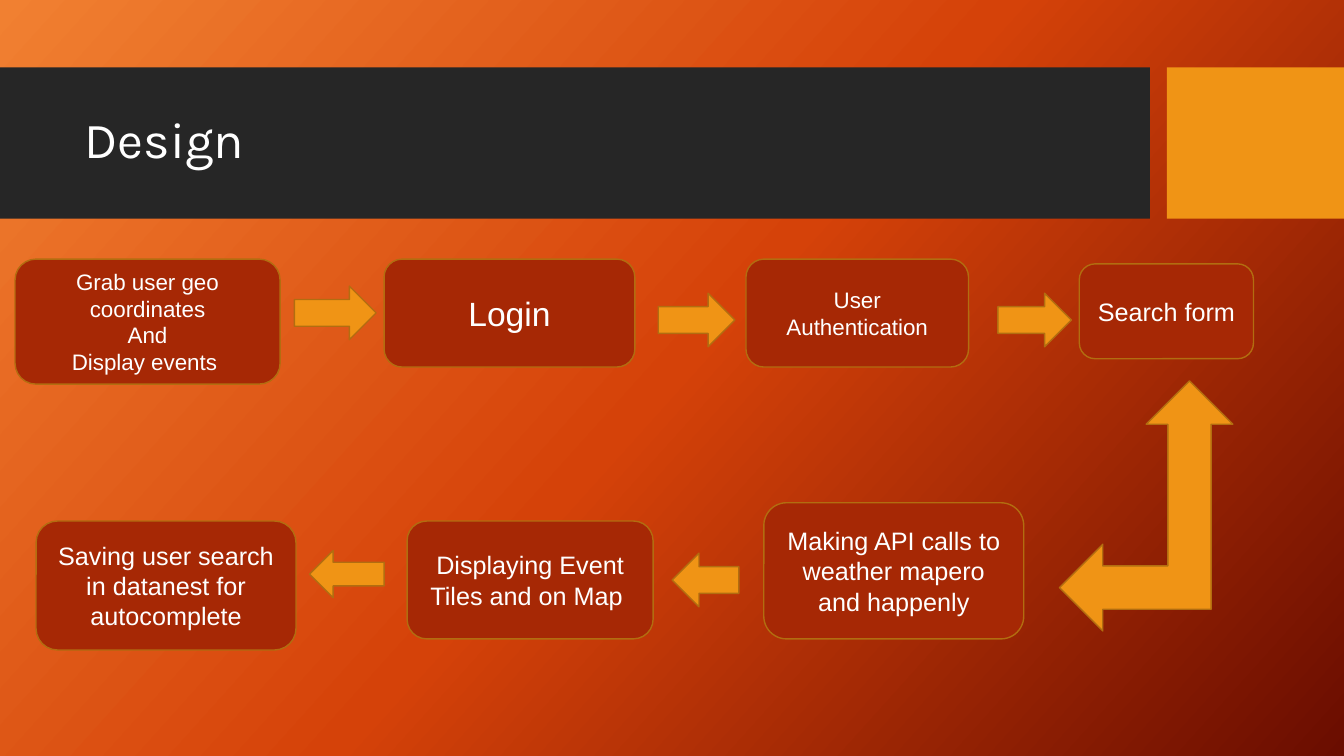
from copy import deepcopy

from pptx import Presentation
from pptx.dml.color import RGBColor
from pptx.enum.shapes import MSO_SHAPE as Preset
from pptx.enum.text import MSO_ANCHOR as Anchor, PP_ALIGN as Align
from pptx.util import Cm, Pt

WHITE, DARK, AMBER, RUST, EDGE = "FFFFFF", "262626", "F09415", "A62805", "B26D10"
BACKDROP = [(0, "F18031"), (0.5, "D54209"), (1, "6A0D00")]
BAND_TOP, BAND_HEIGHT = 1.7, 3.81
BANDS = [(0, 28.98, DARK), (29.41, 4.46, AMBER)]

STEPS = [
    (["Grab user geo coordinates", "And", "Display events "], 16, (0.38, 6.53, 6.68, 3.15)),
    (["Login"], 24, (9.68, 6.53, 6.32, 2.72)),
    (["User Authentication"], 16, (18.8, 6.53, 5.61, 2.72)),
    (["Search form"], 18, (27.2, 6.65, 4.39, 2.39)),
    (["Making API calls to weather mapero and happenly"], 18, (19.25, 12.67, 6.55, 3.43)),
    (["Displaying Event Tiles and on Map "], 18, (10.26, 13.13, 6.2, 2.97)),
    (["Saving user search in datanest for autocomplete"], 18, (0.91, 13.13, 6.55, 3.25)),
]
ARROWS = [
    (Preset.RIGHT_ARROW, 0, (7.42, 7.21, 2.06, 1.35)),
    (Preset.RIGHT_ARROW, 0, (16.59, 7.39, 1.93, 1.35)),
    (Preset.RIGHT_ARROW, 0, (25.15, 7.39, 1.85, 1.35)),
    (Preset.LEFT_UP_ARROW, 0, (26.7, 9.6, 4.37, 6.3)),
    (Preset.RIGHT_ARROW, 180, (16.94, 13.94, 1.68, 1.35)),
    (Preset.RIGHT_ARROW, 180, (7.8, 13.87, 1.88, 1.19)),
]


def color(value):
    return RGBColor.from_string(value)


def paint_background(page):
    fill = page.background.fill
    fill.gradient()
    fill.gradient_angle = 360 - 42
    stop_list = page._element.xpath(".//a:gsLst")[0]
    stop_list.append(deepcopy(stop_list[0]))
    for stop, (position, shade) in zip(fill.gradient_stops, BACKDROP):
        stop.position = position
        stop.color.rgb = color(shade)


def add_block(page, preset, place, fill, edge=None):
    block = page.shapes.add_shape(preset, *map(Cm, place))
    block.shadow.inherit = False
    block.fill.solid()
    block.fill.fore_color.rgb = color(fill)
    if edge:
        block.line.color.rgb = color(edge)
        block.line.width = Pt(1)
    else:
        block.line.fill.background()
    return block


def write(box, lines, size, font="Arial", align=Align.CENTER, spacing=None):
    frame = box.text_frame
    frame.word_wrap = True
    frame.vertical_anchor = Anchor.MIDDLE
    for index, text in enumerate(lines):
        para = frame.add_paragraph() if index else frame.paragraphs[0]
        para.alignment = align
        para.line_spacing = spacing
        span = para.add_run()
        span.text = text
        span.font.name = font
        span.font.size = Pt(size)
        span.font.color.rgb = color(WHITE)


def main():
    deck = Presentation()
    deck.slide_width, deck.slide_height = Cm(33.87), Cm(19.05)
    page = deck.slides.add_slide(deck.slide_layouts[6])
    paint_background(page)

    for left, width, fill in BANDS:
        add_block(page, Preset.RECTANGLE, (left, BAND_TOP, width, BAND_HEIGHT), fill)
    title = page.shapes.add_textbox(*map(Cm, (1.88, 2.08, 26.7, 3)))
    write(title, ["Design"], 36, font="Karla", align=Align.LEFT, spacing=0.9)

    for lines, size, place in STEPS:
        write(add_block(page, Preset.ROUNDED_RECTANGLE, place, RUST, EDGE), lines, size)
    for preset, turn, place in ARROWS:
        add_block(page, preset, place, AMBER, EDGE).rotation = turn

    deck.save("out.pptx")


if __name__ == "__main__":
    main()
